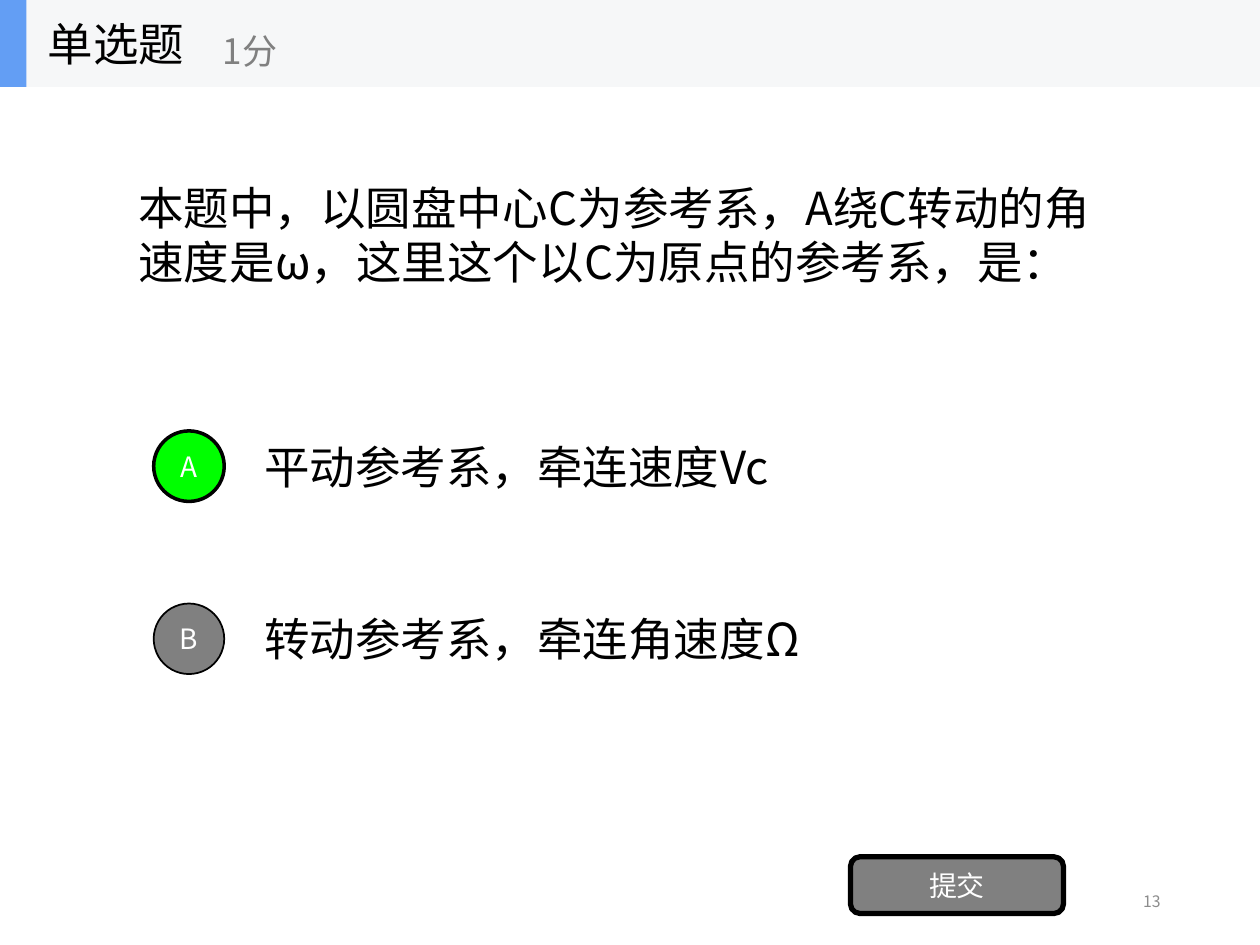
from pptx import Presentation
from pptx.dml.color import RGBColor
from pptx.enum.shapes import MSO_SHAPE
from pptx.enum.text import MSO_ANCHOR, MSO_AUTO_SIZE, PP_ALIGN
from pptx.oxml.ns import qn
from pptx.util import Inches, Pt
from lxml import etree

RECT, OVAL, ROUND = MSO_SHAPE.RECTANGLE, MSO_SHAPE.OVAL, MSO_SHAPE.ROUNDED_RECTANGLE
LEFT, CENTER, RIGHT = PP_ALIGN.LEFT, PP_ALIGN.CENTER, PP_ALIGN.RIGHT
MIDDLE, NO_FIT = MSO_ANCHOR.MIDDLE, MSO_AUTO_SIZE.NONE

TITLE = "单选题"
SCORE = "1分"
QUESTION = "本题中，以圆盘中心C为参考系，A绕C转动的角速度是ω，这里这个以C为原点的参考系，是："
OPTIONS = [
    ("A", "平动参考系，牵连速度Vc", "correct", 2),
    ("B", "转动参考系，牵连角速度Ω", "gray", 1),
]
SUBMIT = "提交"
PAGE = "13"

THEME = {
    "font": "Noto Sans CJK SC",
    "color": {"ink": "000000", "white": "FFFFFF", "gray": "808080", "page": "8C8C8C",
              "correct": "00FF00", "bar": "F6F7F8", "accent": "639EF4"},
    "size": {"body": 26, "score": 20, "button": 16, "page": 9},
}
SLIDE_W, SLIDE_H = 10, 7.5
BAR_H = 0.69
OPTION_TOP, OPTION_STEP, OPTION_H, MARK = 3.35, 1.37, 0.7, 0.56


def color(name):
    return RGBColor.from_string(THEME["color"][name])


def write(sp, text, size="body", ink="ink", align=LEFT):
    tf = sp.text_frame
    tf.word_wrap = True
    tf.auto_size = NO_FIT
    tf.vertical_anchor = MIDDLE
    p = tf.paragraphs[0]
    p.alignment = align
    r = p.add_run()
    r.text = text
    r.font.name = THEME["font"]
    r.font.size = Pt(THEME["size"][size])
    r.font.color.rgb = color(ink)
    ea = etree.SubElement(r.font._element, qn("a:ea"))
    ea.set("typeface", THEME["font"])


def add_text(s, box, text, **fmt):
    sp = s.shapes.add_textbox(*map(Inches, box))
    write(sp, text, **fmt)


def add_block(s, kind, box, fill, line=0):
    sp = s.shapes.add_shape(kind, *map(Inches, box))
    sp.shadow.inherit = False
    sp.fill.solid()
    sp.fill.fore_color.rgb = color(fill)
    if line:
        sp.line.color.rgb = color("ink")
        sp.line.width = Pt(line)
    else:
        sp.line.fill.background()
    return sp


def add_header(s):
    add_block(s, RECT, (0, 0, SLIDE_W, BAR_H), "bar")
    add_block(s, RECT, (0, 0, 0.21, BAR_H), "accent")
    title = s.shapes.title
    title.left, title.top, title.width, title.height = map(Inches, (0.28, 0, 2.08, BAR_H))
    write(title, TITLE)
    s.shapes.element.append(title.element)
    add_text(s, (1.67, 0.12, 2.5, 0.56), SCORE, size="score", ink="gray")


def add_options(s):
    for i, (letter, text, fill, line) in enumerate(OPTIONS):
        top = OPTION_TOP + i * OPTION_STEP
        add_text(s, (2, top, 7, OPTION_H), text)
        mark_top = top + (OPTION_H - MARK) / 2
        mark = add_block(s, OVAL, (1.22, mark_top, MARK, MARK), fill, line)
        write(mark, letter, size="button", ink="white", align=CENTER)


def main():
    prs = Presentation()
    prs.slide_width, prs.slide_height = Inches(SLIDE_W), Inches(SLIDE_H)
    s = prs.slides.add_slide(prs.slide_layouts.get_by_name("Title Only"))
    add_header(s)
    add_text(s, (1, BAR_H, 8, 2.34), QUESTION)
    add_options(s)
    button = add_block(s, ROUND, (6.75, 6.8, 1.69, 0.45), "gray", 3)
    write(button, SUBMIT, size="button", ink="white", align=CENTER)
    add_text(s, (7.06, 6.95, 2.25, 0.4), PAGE, size="page", ink="page", align=RIGHT)
    prs.save("out.pptx")


if __name__ == "__main__":
    main()
